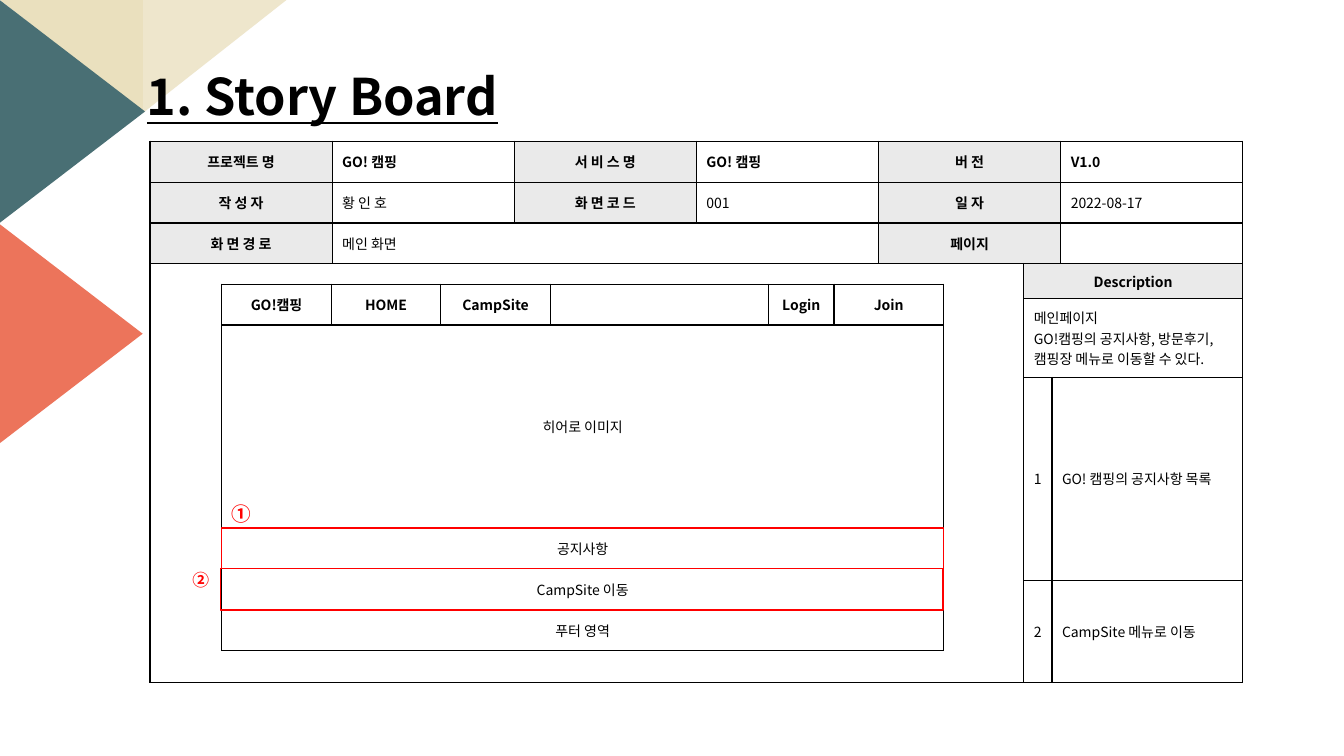
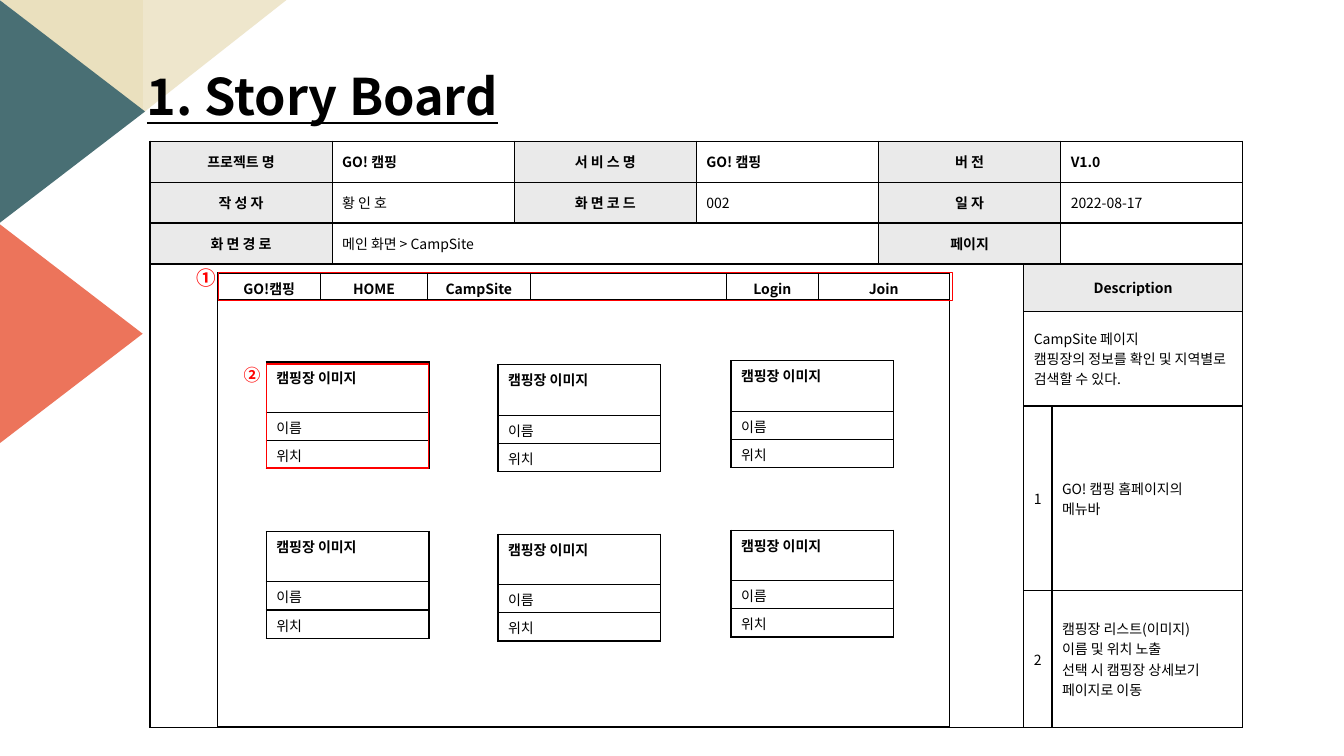
"""Build two storyboard slides for a camping web site."""
from lxml import etree
from pptx import Presentation
from pptx.dml.color import RGBColor
from pptx.enum.shapes import MSO_SHAPE
from pptx.enum.text import MSO_ANCHOR, MSO_AUTO_SIZE, PP_ALIGN
from pptx.oxml.ns import qn
from pptx.util import Cm, Pt

RECTANGLE = MSO_SHAPE.RECTANGLE
TRIANGLE = MSO_SHAPE.ISOSCELES_TRIANGLE
RIGHT_TRIANGLE = MSO_SHAPE.RIGHT_TRIANGLE
LEFT, CENTER = PP_ALIGN.LEFT, PP_ALIGN.CENTER
TOP, MIDDLE = MSO_ANCHOR.TOP, MSO_ANCHOR.MIDDLE
GROW = MSO_AUTO_SIZE.SHAPE_TO_FIT_TEXT

FONT = "Noto Sans CJK KR"
BLACK = RGBColor(0x00, 0x00, 0x00)
WHITE = RGBColor(0xFF, 0xFF, 0xFF)
GRAY = RGBColor(0xEA, 0xEA, 0xEA)
RED = RGBColor(0xFF, 0x00, 0x00)
SAND = RGBColor(0xEA, 0xE0, 0xBE)
CREAM = RGBColor(0xEE, 0xE6, 0xCC)
TEAL = RGBColor(0x49, 0x6F, 0x74)
CORAL = RGBColor(0xEC, 0x74, 0x5B)

STYLES = {
    "label": (GRAY, True, CENTER),
    "menu": (WHITE, True, CENTER),
    "name": (WHITE, True, LEFT),
    "body": (WHITE, False, LEFT),
    "area": (WHITE, False, CENTER),
}


def add_text(frame, text, size, color, bold, align=LEFT, underline=None):
    """Write each line of the text as a paragraph with one run."""
    for index, line in enumerate(text.split("\n")):
        para = frame.paragraphs[0] if index == 0 else frame.add_paragraph()
        para.alignment = align
        span = para.add_run()
        span.text = line
        span.font.name = FONT
        span.font.size = Pt(size)
        span.font.bold = bold
        span.font.underline = underline
        span.font.color.rgb = color
        etree.SubElement(span.font._element, qn("a:ea"), typeface=FONT)


def add_grid(page, left, top, widths, heights, cells, anchor=MIDDLE):
    """Add a bordered table; cells maps (row, column) to style, text and spans."""
    frame = page.shapes.add_table(
        len(heights), len(widths), Cm(left), Cm(top), Cm(sum(widths)), Cm(sum(heights)))
    table = frame.table
    table.first_row = False
    table.horz_banding = False
    for column, width in zip(table.columns, widths):
        column.width = Cm(width)
    for row, height in zip(table.rows, heights):
        row.height = Cm(height)
    for row in range(len(heights)):
        for column in range(len(widths)):
            style, text, *spans = cells.get((row, column), ("body", ""))
            fill, bold, align = STYLES[style]
            cell = table.cell(row, column)
            cell.vertical_anchor = anchor
            cell.fill.solid()
            cell.fill.fore_color.rgb = fill
            if text:
                add_text(cell.text_frame, text, 10, BLACK, bold, align)
            else:
                etree.SubElement(cell.text_frame.paragraphs[0]._p, qn("a:endParaRPr"), sz="1000")
            for position, side in enumerate(("lnL", "lnR", "lnT", "lnB")):
                border = etree.Element(qn("a:" + side), w=str(Pt(1)))
                solid = etree.SubElement(border, qn("a:solidFill"))
                etree.SubElement(solid, qn("a:srgbClr"), val=str(BLACK))
                cell._tc.tcPr.insert(position, border)
            if spans:
                last_cell = table.cell(row + spans[0] - 1, column + spans[1] - 1)
                cell.merge(last_cell)


MENU = {
    (0, 0): ("menu", "GO!캠핑"),
    (0, 1): ("menu", "HOME"),
    (0, 2): ("menu", "CampSite"),
    (0, 4): ("menu", "Login"),
    (0, 5): ("menu", "Join"),
}
CARD = {
    (0, 0): ("name", "캠핑장 이미지"),
    (1, 0): ("body", "이름"),
    (2, 0): ("body", "위치"),
}
SCREENS = [
    {
        "code": "001",
        "route": "메인 화면",
        "body_top": 6.64,
        "body_rows": [0.89, 1.98, 5.11, 2.57],
        "summary": "메인페이지\nGO!캠핑의 공지사항, 방문후기, 캠핑장 메뉴로 이동할 수 있다.",
        "notes": ["GO! 캠핑의 공지사항 목록", "CampSite 메뉴로 이동"],
        "wire_place": (5.59, 7.16),
        "wire_columns": [2.76, 2.76, 2.76, 5.5, 1.65, 2.76],
        "wire_rows": [1.03, 5.11, 1.03, 1.03, 1.03],
        "areas": ["히어로 이미지", "공지사항", "CampSite 이동", "푸터 영역"],
        "card_columns": [],
        "frames": [(5.59, 13.31, 18.19, 1.02), (5.56, 14.33, 18.21, 1.04)],
        "markers": [("①", 5.59, 12.52, 1.07, 0.86, 14), ("②", 4.6, 14.22, 0.97, 0.76, 12)],
    },
    {
        "code": "002",
        "route": "메인 화면 > CampSite",
        "body_top": 6.65,
        "body_rows": [1.19, 2.39, 4.65, 3.45],
        "summary": "CampSite 페이지\n캠핑장의 정보를 확인 및 지역별로 검색할 수 있다.",
        "notes": [
            "GO! 캠핑 홈페이지의\n메뉴바",
            "캠핑장 리스트(이미지)\n이름 및 위치 노출\n선택 시 캠핑장 상세보기 페이지로 이동",
        ],
        "wire_place": (5.49, 6.88),
        "wire_columns": [2.59, 2.69, 2.59, 4.95, 2.31, 3.3],
        "wire_rows": [0.64, 10.74],
        "areas": [""],
        "card_columns": [(6.71, 9.12), (12.55, 9.19), (18.42, 9.09)],
        "frames": [(5.51, 6.86, 18.49, 0.71), (6.71, 9.17, 4.09, 2.62)],
        "markers": [("①", 4.7, 6.58, 1.07, 0.86, 14), ("②", 5.89, 9.07, 0.76, 0.76, 12)],
    },
]
CARD_STEP = 4.27

deck = Presentation()
deck.slide_width = Cm(33.87)
deck.slide_height = Cm(19.05)
layout = deck.slide_layouts[6]
for holder in list(layout.placeholders):
    layout.shapes.element.remove(holder.element)
pages = [deck.slides.add_slide(layout) for screen in SCREENS]

for kind, left, top, width, height, turn, mirrored, color in [
    (RIGHT_TRIANGLE, 0, 0, 3.61, 2.84, 180, False, SAND),
    (RIGHT_TRIANGLE, 3.61, 0, 3.61, 2.84, 180, True, CREAM),
    (TRIANGLE, -0.98, 0.98, 5.61, 3.66, 90, False, TEAL),
    (TRIANGLE, -1.04, 6.58, 5.61, 3.66, 90, False, CORAL),
]:
    corner = pages[0].shapes.add_shape(kind, Cm(left), Cm(top), Cm(width), Cm(height))
    corner.shadow.inherit = False
    corner.rotation = turn
    corner.fill.solid()
    corner.fill.fore_color.rgb = color
    corner.line.fill.background()
    if mirrored:
        corner.element.spPr.xfrm.set("flipH", "1")
    layout.shapes.element.append(corner.element)

for page, screen in zip(pages, SCREENS):
    title = page.shapes.add_textbox(Cm(3.45), Cm(1.52), Cm(15.14), Cm(1.8))
    title.text_frame.word_wrap = True
    title.text_frame.auto_size = GROW
    add_text(title.text_frame, "1. Story Board", 36, BLACK, True, underline=True)

    add_grid(page, 3.78, 3.56, [4.59] * 6, [1.03] * 3, {
        (0, 0): ("label", "프로젝트 명"),
        (0, 1): ("name", "GO! 캠핑"),
        (0, 2): ("label", "서 비 스 명"),
        (0, 3): ("name", "GO! 캠핑"),
        (0, 4): ("label", "버 전"),
        (0, 5): ("name", "V1.0"),
        (1, 0): ("label", "작 성 자"),
        (1, 1): ("body", "황 인 호"),
        (1, 2): ("label", "화 면 코 드"),
        (1, 3): ("body", screen["code"]),
        (1, 4): ("label", "일 자"),
        (1, 5): ("body", "2022-08-17"),
        (2, 0): ("label", "화 면 경 로"),
        (2, 1): ("body", screen["route"], 1, 3),
        (2, 4): ("label", "페이지"),
    })

    description = {
        (0, 0): ("body", "", 4, 1),
        (0, 1): ("label", "Description", 1, 2),
        (1, 1): ("body", screen["summary"], 1, 2),
    }
    for number, note in enumerate(screen["notes"], 1):
        description[number + 1, 1] = ("body", str(number))
        description[number + 1, 2] = ("body", note)
    add_grid(page, 3.78, screen["body_top"], [22.02, 0.71, 4.8], screen["body_rows"], description)

    wireframe = dict(MENU)
    for row, area in enumerate(screen["areas"], 1):
        wireframe[row, 0] = ("area", area, 1, 6)
    add_grid(page, *screen["wire_place"], screen["wire_columns"], screen["wire_rows"], wireframe)

    for left, top in screen["card_columns"]:
        for card_row in range(2):
            add_grid(page, left, top + card_row * CARD_STEP, [4.1], [1.27, 0.71, 0.71], CARD, TOP)

    for place in screen["frames"]:
        outline = page.shapes.add_shape(RECTANGLE, *map(Cm, place))
        outline.shadow.inherit = False
        outline.fill.background()
        outline.line.color.rgb = RED
        outline.line.width = Pt(1)

    for text, left, top, width, height, size in screen["markers"]:
        marker = page.shapes.add_textbox(Cm(left), Cm(top), Cm(width), Cm(height))
        marker.text_frame.word_wrap = True
        marker.text_frame.auto_size = GROW
        add_text(marker.text_frame, text, size, RED, True)

deck.save("out.pptx")
